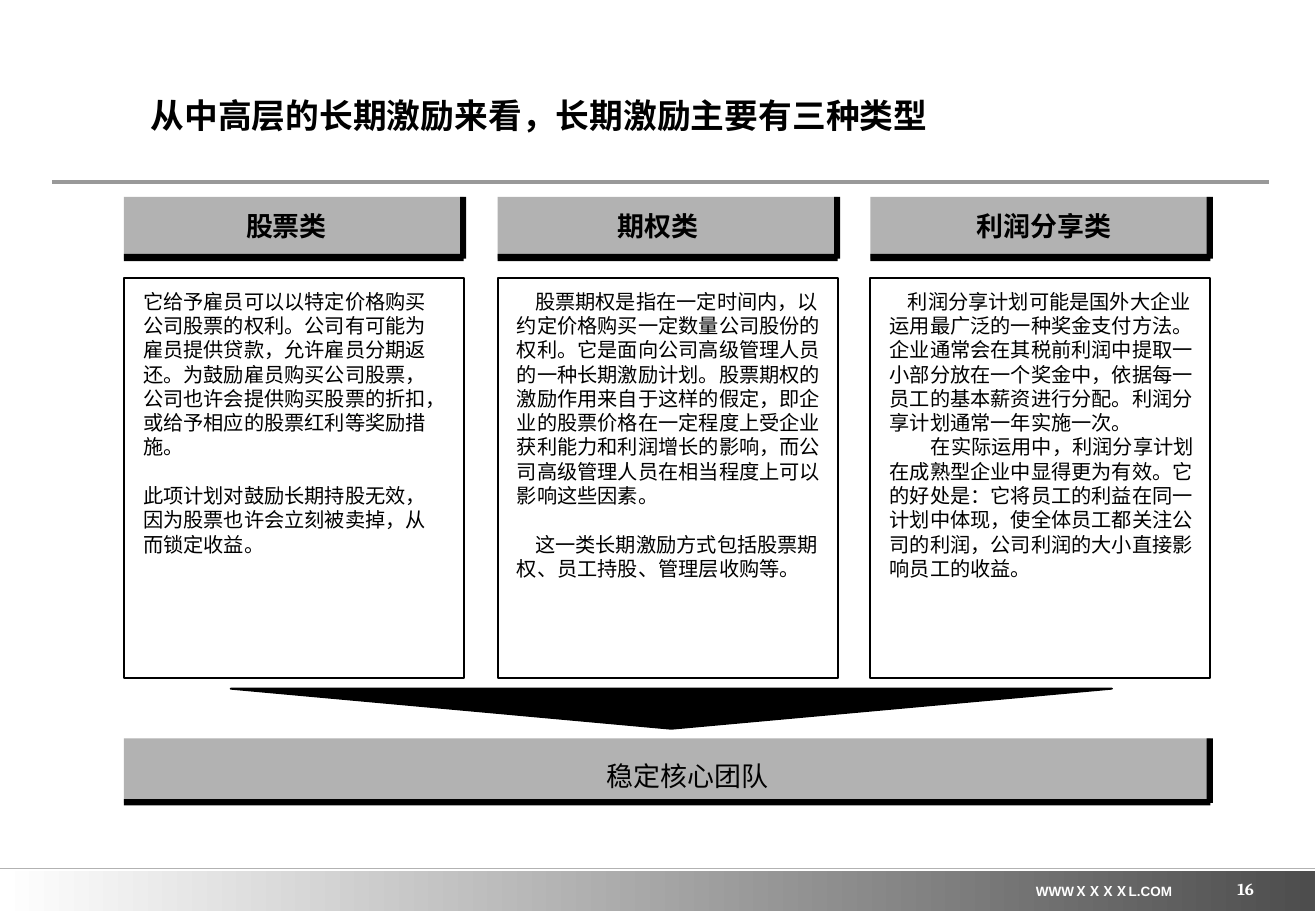
from pptx import Presentation
from pptx.dml.color import RGBColor
from pptx.enum.shapes import MSO_CONNECTOR as Connector, MSO_SHAPE as Shape
from pptx.enum.text import MSO_ANCHOR as Anchor, PP_ALIGN as Align
from pptx.oxml.ns import qn
from pptx.util import Emu, Pt
from lxml.etree import SubElement

PX = 9144  # 100 px to the inch
SANS = "Noto Sans CJK SC"
SERIF = "Times New Roman"
BLACK, WHITE, GREY = "000000", "FFFFFF", "B2B2B2"
BODY_LINE = Pt(14.4)

# left, heading, heading centre, body width, gap between paragraphs,
# then (first-line indent, text) for each paragraph
COLUMNS = [
    (102, "股票类", 236, 264, BODY_LINE, [
        (0, "它给予雇员可以以特定价格购买公司股票的权利。公司有可能为雇员提供贷款，"
            "允许雇员分期返还。为鼓励雇员购买公司股票，公司也许会提供购买股票的折扣，"
            "或给予相应的股票红利等奖励措施。"),
        (0, "此项计划对鼓励长期持股无效，因为股票也许会立刻被卖掉，从而锁定收益。"),
    ]),
    (410, "期权类", 542, 271, BODY_LINE, [
        (15, "股票期权是指在一定时间内，以约定价格购买一定数量公司股份的权利。"
             "它是面向公司高级管理人员的一种长期激励计划。股票期权的激励作用来自于"
             "这样的假定，即企业的股票价格在一定程度上受企业获利能力和利润增长的影响，"
             "而公司高级管理人员在相当程度上可以影响这些因素。"),
        (15, "这一类长期激励方式包括股票期权、员工持股、管理层收购等。"),
    ]),
    (717, "利润分享类", 860, 271, Pt(0), [
        (15, "利润分享计划可能是国外大企业运用最广泛的一种奖金支付方法。"
             "企业通常会在其税前利润中提取一小部分放在一个奖金中，"
             "依据每一员工的基本薪资进行分配。利润分享计划通常一年实施一次。"),
        (34, "在实际运用中，利润分享计划在成熟型企业中显得更为有效。它的好处是："
             "它将员工的利益在同一计划中体现，使全体员工都关注公司的利润，"
             "公司利润的大小直接影响员工的收益。"),
    ]),
]


def px(*lengths):
    return [Emu(length * PX) for length in lengths]


def rgb(value):
    return RGBColor.from_string(value)


def set_font(paragraph, name, size, color=BLACK, bold=False):
    font = paragraph.font
    font.name, font.size, font.bold = name, Pt(size), bold
    font.color.rgb = rgb(color)
    properties = paragraph._p.get_or_add_pPr().find(qn("a:defRPr"))
    SubElement(properties, qn("a:ea")).set("typeface", SANS)


def set_insets(frame, across, down):
    frame.margin_left, frame.margin_right = px(across, across)
    frame.margin_top, frame.margin_bottom = px(down, down)


def add_box(slide, box, fill=None, line=None):
    shape = slide.shapes.add_shape(Shape.RECTANGLE, *px(*box))
    shape.shadow.inherit = False
    if fill:
        shape.fill.solid()
        shape.fill.fore_color.rgb = rgb(fill)
    else:
        shape.fill.background()
    if line:
        shape.line.color.rgb = rgb(line)
        shape.line.width = Pt(1.13)
    else:
        shape.line.fill.background()
    return shape


def add_label(slide, box, text, name, size, color=BLACK, bold=False,
              align=Align.CENTER, anchor=Anchor.MIDDLE):
    frame = slide.shapes.add_textbox(*px(*box)).text_frame
    frame.word_wrap = False
    frame.vertical_anchor = anchor
    set_insets(frame, 0, 0)
    paragraph = frame.paragraphs[0]
    paragraph.text = text
    paragraph.alignment = align
    set_font(paragraph, name, size, color, bold)


def add_rule(slide, left, right, y, color, width):
    line = slide.shapes.add_connector(Connector.STRAIGHT, *px(left, y, right, y))
    line.line.color.rgb = rgb(color)
    line.line.width = Pt(width)
    SubElement(line._element.spPr, qn("a:effectLst"))


def add_raised_bar(slide, box, edge):
    """Grey bar with black strips along its bottom and right sides."""
    left, top, width, height = box
    add_box(slide, box, GREY)
    add_box(slide, (left, top + height + 2 - edge, width, edge), BLACK)
    add_box(slide, (left + width - 3, top, 5, height), BLACK)


def add_title(slide, box, text):
    title = slide.shapes.title
    title.left, title.top, title.width, title.height = px(*box)
    frame = title.text_frame
    frame.text = text
    frame.word_wrap = True
    frame.vertical_anchor = Anchor.MIDDLE
    set_insets(frame, 0, 0)
    frame.paragraphs[0].alignment = Align.LEFT
    set_font(frame.paragraphs[0], SANS, 20, bold=True)


def add_body(slide, box, gap, paragraphs):
    frame = slide.shapes.add_textbox(*px(*box)).text_frame
    frame.word_wrap = True
    set_insets(frame, 10, 5)
    for index, (indent, text) in enumerate(paragraphs):
        paragraph = frame.add_paragraph() if index else frame.paragraphs[0]
        paragraph.text = text
        paragraph.line_spacing = BODY_LINE
        paragraph.space_before = gap if index else Pt(0)
        paragraph._p.get_or_add_pPr().set("indent", str(indent * PX))
        set_font(paragraph, SANS, 12)


def add_column(slide, box, heading, heading_centre, body_width, gap, paragraphs):
    left, top, width, height = box
    add_raised_bar(slide, (left, top, width, 51), 6)
    add_label(slide, (heading_centre - 65, top + 5, 130, 37), heading, SERIF, 16, bold=True)
    add_box(slide, (left, top + 67, width, height - 67), line=BLACK)
    add_body(slide, (left + 6, top + 71, body_width, 250), gap, paragraphs)


def add_conclusion(slide, box, text):
    """Downward wedge above a raised bar."""
    left, top, width, height = box
    wedge_left, wedge_right = left + 88, left + width - 81
    builder = slide.shapes.build_freeform(wedge_left, top, scale=PX)
    builder.add_line_segments(
        [(wedge_right, top), ((wedge_left + wedge_right) // 2, top + 33)])
    wedge = builder.convert_to_shape()
    wedge.shadow.inherit = False
    wedge.fill.solid()
    wedge.fill.fore_color.rgb = rgb(BLACK)
    wedge.line.color.rgb = rgb(BLACK)
    wedge.line.width = Pt(1.13)
    add_raised_bar(slide, (left, top + 41, width, height - 41), 5)
    add_label(slide, (left + 388, top + 53, 153, 37), text, SERIF, 16)


def add_footer(slide, box, address, number):
    left, top, width, height = box
    band = add_box(slide, box, GREY)
    band.fill.gradient()
    band.fill.gradient_angle = 0
    for stop, color in zip(band.fill.gradient_stops, (WHITE, "4D4D4D")):
        stop.color.rgb = rgb(color)
    add_rule(slide, left, left + width, top - 2, GREY, 1)
    add_label(slide, (left + 841, top + 5, 137, 24), address, "Arial", 8, WHITE, True)
    add_label(slide, (left + 807, top - 10, 226, 33), number, "Cambria", 10, WHITE, True,
              Align.RIGHT, Anchor.BOTTOM)


def main():
    presentation = Presentation()
    presentation.slide_width, presentation.slide_height = px(1084, 750)
    slide = presentation.slides.add_slide(presentation.slide_layouts[5])
    add_footer(slide, (0, 717, 1083, 33), "WWWＸＸＸＸL.COM", "16")
    add_rule(slide, 43, 1045, 150, "999999", 2.5)
    add_title(slide, (124, 58, 910, 73), "从中高层的长期激励来看，长期激励主要有三种类型")
    for left, *content in COLUMNS:
        add_column(slide, (left, 162, 280, 396), *content)
    add_conclusion(slide, (102, 567, 895, 94), "稳定核心团队")
    presentation.save("out.pptx")


if __name__ == "__main__":
    main()
